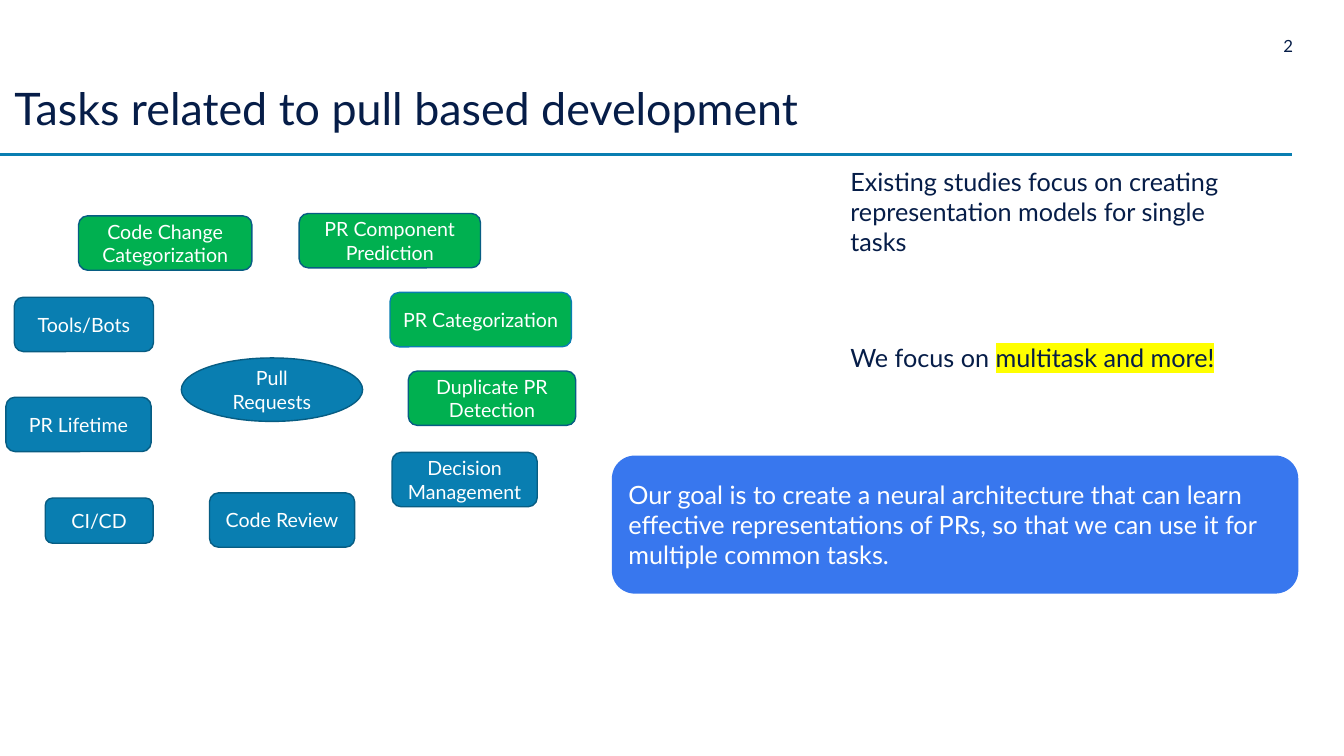
"""Build the slide on tasks related to pull based development."""
from lxml.etree import SubElement
from pptx import Presentation
from pptx.dml.color import RGBColor
from pptx.enum.shapes import MSO_CONNECTOR as Connector, MSO_SHAPE as Shape
from pptx.enum.text import MSO_ANCHOR as Anchor, MSO_AUTO_SIZE as AutoSize, PP_ALIGN as Align
from pptx.oxml.ns import qn
from pptx.util import Cm, Pt

COLORS = {"navy": "061D48", "teal": "097EB1", "dark teal": "075D83", "green": "00B050",
          "blue": "3877EE", "white": "FFFFFF", "yellow": "FFFF00"}


def rgb(name):
    return RGBColor.from_string(COLORS[name])


def style_text(frame, size, color, align):
    frame.word_wrap = True
    for paragraph in frame.paragraphs:
        paragraph.alignment = align
        for run in paragraph.runs:
            run.font.name = "Lato"
            run.font.size = Pt(size)
            run.font.color.rgb = rgb(color)


deck = Presentation()
deck.slide_width, deck.slide_height = Cm(33.87), Cm(19.05)
slide = deck.slides.add_slide(deck.slide_layouts[5])
shapes = slide.shapes

title = shapes.title
title.left, title.top, title.width, title.height = Cm(0.36), Cm(0.79), Cm(26.11), Cm(2.62)
heading = title.text_frame
heading.text = "Tasks related to pull based development"
heading.auto_size = AutoSize.NONE
heading.vertical_anchor = Anchor.BOTTOM
heading.margin_left = heading.margin_right = heading.margin_top = heading.margin_bottom = 0
heading.paragraphs[0].line_spacing = 0.9
style_text(heading, 32, "navy", Align.LEFT)

title_rule = shapes.add_connector(Connector.STRAIGHT, 0, Cm(3.89), Cm(32.56), Cm(3.89))
title_rule.line.color.rgb = rgb("teal")
title_rule.line.width = Pt(2.25)
SubElement(title_rule._element.spPr, qn("a:effectLst"))

page_number = shapes.add_textbox(Cm(31.55), Cm(0.91), Cm(1.04), Cm(0.51)).text_frame
page_number.text = "2"
page_number.margin_left = page_number.margin_right = 0
page_number.margin_top = page_number.margin_bottom = 0
style_text(page_number, 12, "navy", Align.RIGHT)

tasks = [
    ("Pull Requests", Shape.OVAL, 4.57, 9.02, 4.57, 1.6, "teal", "dark teal"),
    ("PR Categorization", Shape.ROUNDED_RECTANGLE, 9.83, 7.37, 4.57, 1.37, "green", "teal"),
    ("Duplicate PR Detection", Shape.ROUNDED_RECTANGLE, 10.29, 9.35, 4.22, 1.37, "green", "dark teal"),
    ("Decision Management", Shape.ROUNDED_RECTANGLE, 9.88, 11.4, 3.66, 1.37, "teal", "dark teal"),
    ("Code Review", Shape.ROUNDED_RECTANGLE, 5.28, 12.42, 3.66, 1.37, "teal", "dark teal"),
    ("CI/CD", Shape.ROUNDED_RECTANGLE, 1.14, 12.55, 2.72, 1.14, "teal", "dark teal"),
    ("PR Lifetime", Shape.ROUNDED_RECTANGLE, 0.15, 10.01, 3.66, 1.37, "teal", "dark teal"),
    ("Tools/Bots", Shape.ROUNDED_RECTANGLE, 0.36, 7.49, 3.51, 1.37, "teal", "dark teal"),
    ("Code Change Categorization", Shape.ROUNDED_RECTANGLE, 1.98, 5.44, 4.37, 1.37, "green", "dark teal"),
    ("PR Component\nPrediction", Shape.ROUNDED_RECTANGLE, 7.54, 5.38, 4.57, 1.37, "green", "dark teal"),
]
for label, outline, left, top, width, height, fill, border in tasks:
    task = shapes.add_shape(outline, Cm(left), Cm(top), Cm(width), Cm(height))
    task.shadow.inherit = False
    task.fill.solid()
    task.fill.fore_color.rgb = rgb(fill)
    task.line.color.rgb = rgb(border)
    task.line.width = Pt(1)
    task.text_frame.text = label
    style_text(task.text_frame, 14, "white", Align.CENTER)

existing_work = shapes.add_textbox(Cm(21.18), Cm(4.06), Cm(10.49), Cm(2.57)).text_frame
existing_work.text = "Existing studies focus on creating representation models for single tasks"
style_text(existing_work, 18, "navy", Align.LEFT)

our_focus = shapes.add_textbox(Cm(21.18), Cm(8.51), Cm(13.54), Cm(1.02)).text_frame
our_focus.text = "We focus on "
emphasis = our_focus.paragraphs[0].add_run()
emphasis.text = "multitask and more!"
style_text(our_focus, 18, "navy", Align.LEFT)
emphasis_props = emphasis._r.get_or_add_rPr()
highlight = SubElement(emphasis_props, qn("a:highlight"))
SubElement(highlight, qn("a:srgbClr"), val=COLORS["yellow"])
emphasis_props.find(qn("a:latin")).addprevious(highlight)

goal = shapes.add_shape(Shape.ROUNDED_RECTANGLE, Cm(15.42), Cm(11.48), Cm(17.3), Cm(3.48))
goal.shadow.inherit = False
goal.fill.solid()
goal.fill.fore_color.rgb = rgb("blue")
goal.line.fill.background()
goal.text_frame.text = ("Our goal is to create a neural architecture that can learn effective "
                        "representations of PRs, so that we can use it for multiple common tasks.")
style_text(goal.text_frame, 18, "white", Align.LEFT)

deck.save("out.pptx")
